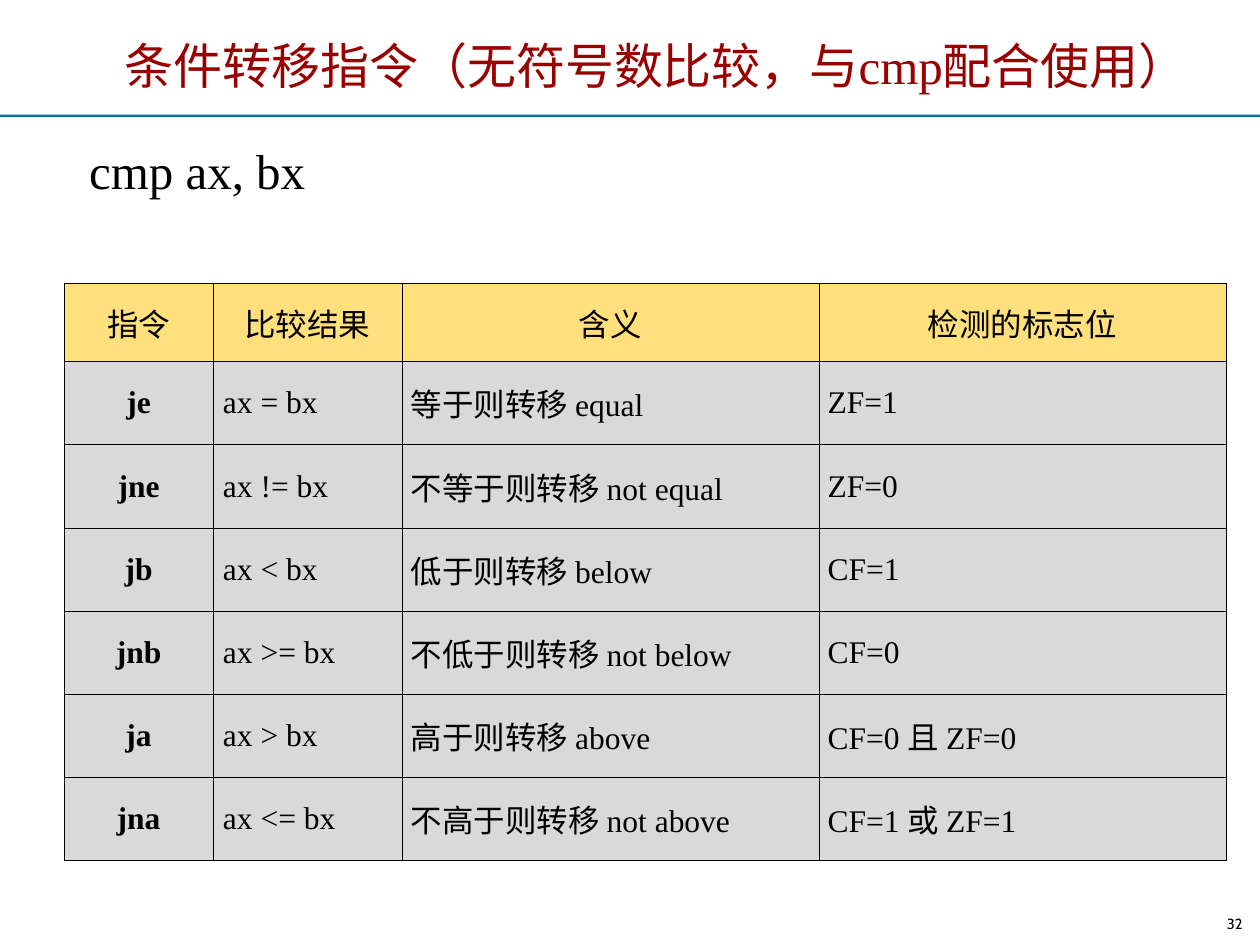
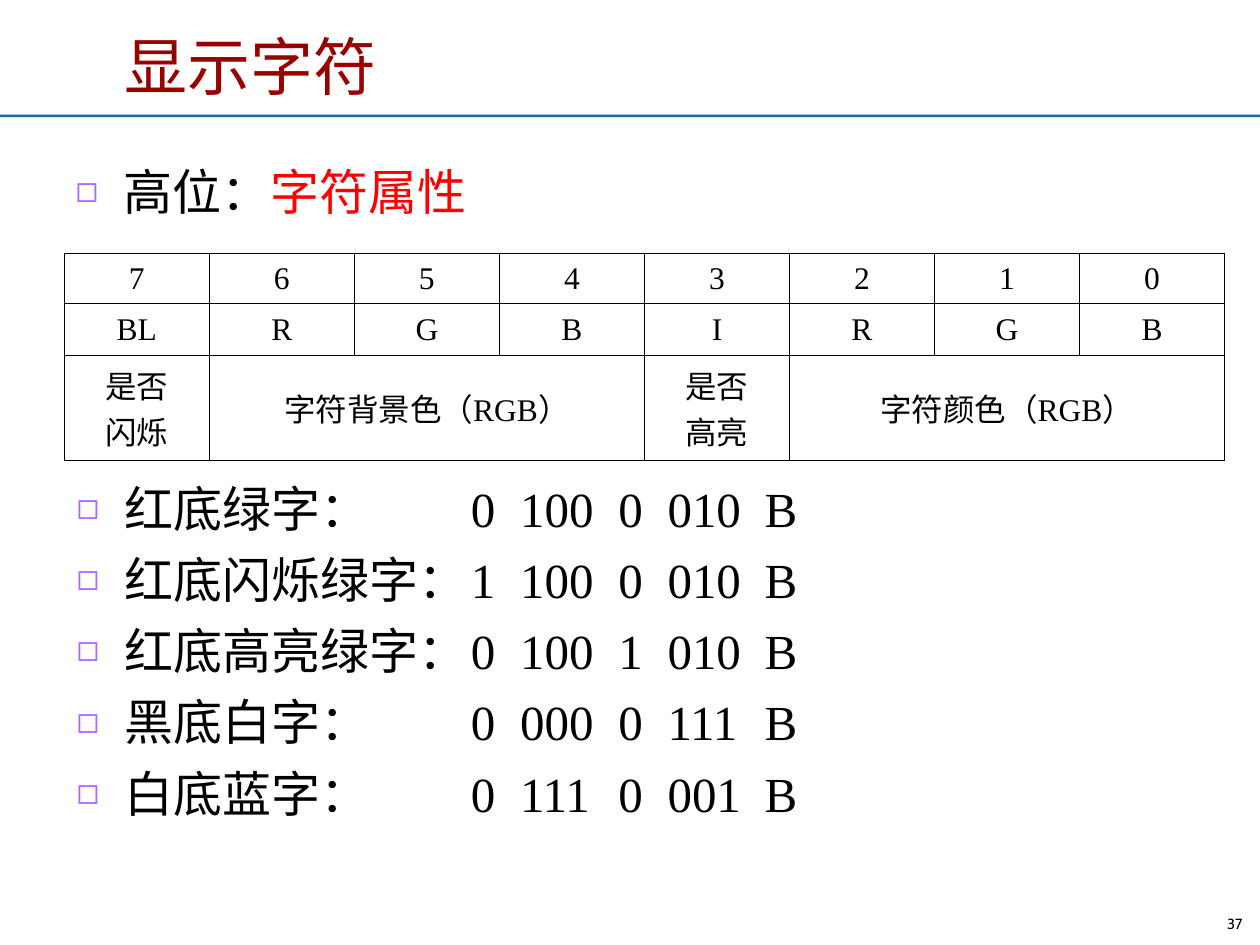
"""Build two slides on conditional jumps and character display attributes."""
import pptx
import pptx.util
import pptx.dml.color
import pptx.enum.shapes
import pptx.enum.text
import pptx.oxml
import pptx.oxml.ns

Inches = pptx.util.Inches
Pt = pptx.util.Pt
ALIGN = pptx.enum.text.PP_ALIGN
MIDDLE = pptx.enum.text.MSO_ANCHOR.MIDDLE
NAMESPACE = pptx.oxml.ns.nsdecls("a")
COLORS = {
    "title": "990000", "band": "0C6DA4", "text": "000000", "accent": "FF0000",
    "bullet": "AF67FF", "header": "FFE07D", "row": "D9D9D9",
}
BODY_FONT = {"name": "Times New Roman", "size": Pt(28)}
CELL_FONT = {"name": "Times New Roman", "size": Pt(18)}
NUMBER_FONT = {"name": "Cabin", "size": Pt(8.4)}
TABLE_LEFT, TABLE_WIDTH = 0.51, 9.21


def add_run(paragraph, text, font_format, color="text"):
    run = paragraph.add_run()
    run.text = text
    for name, value in font_format.items():
        setattr(run.font, name, value)
    run.font.color.rgb = pptx.dml.color.RGBColor.from_string(COLORS[color])


def format_cell(cell, text, alignment, fill=None, bold=False):
    cell.vertical_anchor = MIDDLE
    for number, line in enumerate(text.split("\n")):
        frame = cell.text_frame
        paragraph = frame.add_paragraph() if number else frame.paragraphs[0]
        paragraph.alignment = alignment
        add_run(paragraph, line, CELL_FONT | {"bold": bold})
    properties = cell._tc.get_or_add_tcPr()
    for side in ("lnL", "lnR", "lnT", "lnB"):
        properties.append(pptx.oxml.parse_xml(
            f'<a:{side} {NAMESPACE} w="5715"><a:solidFill>'
            f'<a:srgbClr val="{COLORS["text"]}"/></a:solidFill></a:{side}>'))
    if fill:
        cell.fill.solid()
        cell.fill.fore_color.rgb = pptx.dml.color.RGBColor.from_string(COLORS[fill])
    else:
        cell.fill.background()


presentation = pptx.Presentation()
presentation.slide_width, presentation.slide_height = Inches(10), Inches(7.5)

slides = []
for layout, title, title_size, number in (
    (5, "条件转移指令（无符号数比较，与cmp配合使用）", 28, "32"),
    (1, "显示字符", 36, "37"),
):
    slide = presentation.slides.add_slide(presentation.slide_layouts[layout])
    slides.append(slide)
    band = slide.shapes.add_shape(
        pptx.enum.shapes.MSO_SHAPE.RECTANGLE, 0, Inches(0.91), Inches(10), Inches(0.02))
    band.shadow.inherit = False
    band.fill.solid()
    band.fill.fore_color.rgb = pptx.dml.color.RGBColor.from_string(COLORS["band"])
    band.line.fill.background()

    shape = slide.shapes.title
    shape.left, shape.top, shape.width, shape.height = map(Inches, (0.89, 0.16, 8.91, 0.71))
    frame = shape.text_frame
    frame.auto_size = pptx.enum.text.MSO_AUTO_SIZE.NONE
    frame.vertical_anchor = MIDDLE
    frame.paragraphs[0].alignment = ALIGN.LEFT
    add_run(frame.paragraphs[0], title, BODY_FONT | {"size": Pt(title_size)}, "title")

    frame = slide.shapes.add_textbox(*map(Inches, (7.63, 7.22, 2.33, 0.24))).text_frame
    for name, value in {"word_wrap": True, "vertical_anchor": MIDDLE,
                        "margin_top": Inches(0.04), "margin_bottom": Inches(0.04)}.items():
        setattr(frame, name, value)
    paragraph = frame.paragraphs[0]
    paragraph.alignment = ALIGN.RIGHT
    paragraph.line_spacing = 0.8
    add_run(paragraph, number, NUMBER_FONT)

jump_slide, display_slide = slides

frame = jump_slide.shapes.add_textbox(*map(Inches, (0.61, 1.07, 9.03, 0.57))).text_frame
frame.word_wrap = True
add_run(frame.paragraphs[0], "cmp ax, bx", BODY_FONT)

jumps = [
    ("指令", "比较结果", "含义", "检测的标志位"),
    ("je", "ax = bx", "等于则转移 equal", "ZF=1"),
    ("jne", "ax != bx", "不等于则转移 not equal", "ZF=0"),
    ("jb", "ax < bx", "低于则转移 below", "CF=1"),
    ("jnb", "ax >= bx", "不低于则转移 not below", "CF=0"),
    ("ja", "ax > bx", "高于则转移 above", "CF=0 且 ZF=0"),
    ("jna", "ax <= bx", "不高于则转移 not above", "CF=1 或 ZF=1"),
]
table = jump_slide.shapes.add_table(
    len(jumps), 4, *map(Inches, (TABLE_LEFT, 2.25, TABLE_WIDTH, 4.57))).table
for column, width in zip(table.columns, (1.18, 1.5, 3.31, 3.23)):
    column.width = Inches(width)
for row_number, values in enumerate(jumps):
    table.rows[row_number].height = Inches(0.66 if row_number else 0.62)
    for column_number, text in enumerate(values):
        cell = table.cell(row_number, column_number)
        is_header, is_name = row_number == 0, column_number == 0
        cell.margin_left = cell.margin_right = Inches(0.08 if column_number == 1 else 0.07)
        format_cell(cell, text, ALIGN.CENTER if is_header or is_name else ALIGN.JUSTIFY,
                    "header" if is_header else "row", is_name and not is_header)

attribute_bits = [
    ("7", "6", "5", "4", "3", "2", "1", "0"),
    ("BL", "R", "G", "B", "I", "R", "G", "B"),
    ("是否\n闪烁", "字符背景色（RGB）", "", "", "是否\n高亮", "字符颜色（RGB）", "", ""),
]
attribute_heights = (0.4, 0.41, 0.83)
table = display_slide.shapes.add_table(
    3, 8, *map(Inches, (TABLE_LEFT, 2.01, TABLE_WIDTH, sum(attribute_heights)))).table
for column in table.columns:
    column.width = Inches(TABLE_WIDTH / 8)
for first_column in (1, 5):
    table.cell(2, first_column).merge(table.cell(2, first_column + 2))
for row_number, values in enumerate(attribute_bits):
    table.rows[row_number].height = Inches(attribute_heights[row_number])
    for column_number, text in enumerate(values):
        format_cell(table.cell(row_number, column_number), text, ALIGN.CENTER)

heading = display_slide.placeholders[1]
heading.left, heading.top, heading.width, heading.height = map(Inches, (0.5, 1.23, 9, 0.63))
examples = display_slide.shapes.add_textbox(*map(Inches, (0.51, 3.75, 9, 2.91)))
bullet_lists = [
    (heading, [[("高位：", "text"), ("字符属性", "accent")]]),
    (examples, [[(text, "text")] for text in (
        "红底绿字：\t0\t100\t0\t010\tB",
        "红底闪烁绿字：\t1\t100\t0\t010\tB",
        "红底高亮绿字：\t0\t100\t1\t010\tB",
        "黑底白字：\t0\t000\t0\t111\tB",
        "白底蓝字：\t0\t111\t0\t001\tB",
    )]),
]
tab_stops = "".join(f'<a:tab pos="{Inches(position)}" algn="l"/>'
                    for position in (3.13, 3.52, 4.3, 4.69, 5.46))
for shape, items in bullet_lists:
    frame = shape.text_frame
    frame.word_wrap = True
    frame.auto_size = pptx.enum.text.MSO_AUTO_SIZE.NONE
    for number, runs in enumerate(items):
        paragraph = frame.add_paragraph() if number else frame.paragraphs[0]
        paragraph.space_before = Pt(7 if number else 0)
        properties = paragraph._p.get_or_add_pPr()
        properties.set("marL", str(Inches(0.38)))
        properties.set("indent", str(-Inches(0.38)))
        for element in (
            f'<a:buClr {NAMESPACE}><a:srgbClr val="{COLORS["bullet"]}"/></a:buClr>',
            f'<a:buSzPct {NAMESPACE} val="75000"/>',
            f'<a:buFont {NAMESPACE} typeface="Arial"/>',
            f'<a:buChar {NAMESPACE} char="◻"/>',
            f'<a:tabLst {NAMESPACE}>{tab_stops}</a:tabLst>',
        ):
            properties.append(pptx.oxml.parse_xml(element))
        for text, color in runs:
            add_run(paragraph, text, BODY_FONT, color)

presentation.save("out.pptx")
